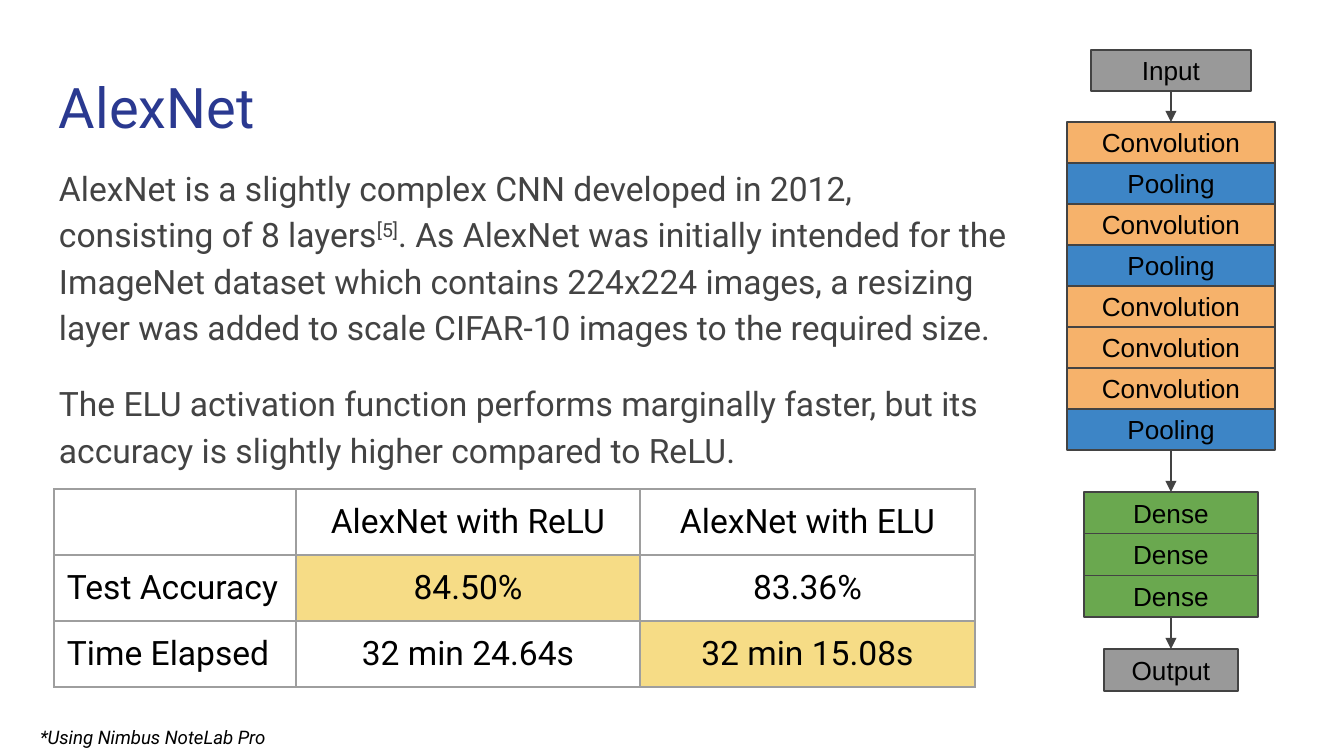
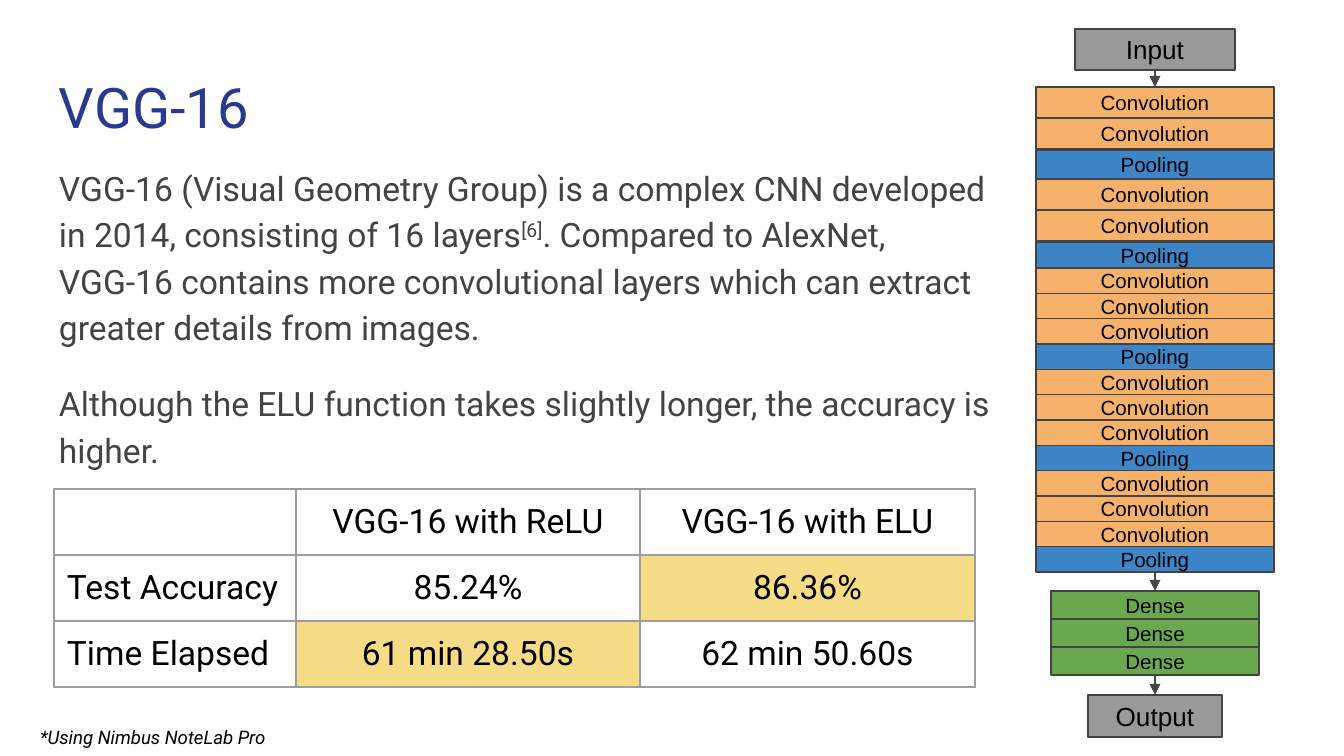
from pptx import Presentation
from pptx import util as u
from pptx.dml.color import RGBColor
from pptx.enum import shapes, text
from pptx.oxml.ns import qn
from lxml import etree

# ---- Shared look ----
SCALE = 914400 / 134.4  # EMU per px
COLOURS = {
    "title": "2A3990", "body": "434343", "text": "000000", "line": "434343",
    "grid": "9E9E9E", "cell": "FFFFFF", "best": "F6DC86",
    "Input": "999999", "Convolution": "F6B26B", "Pooling": "3D85C6",
    "Dense": "6AA84F", "Output": "999999",
}
HEADING_FONT, DIAGRAM_FONT = "Roboto", "Arial"
INSET = 13
COLUMNS, ROW = (242, 344, 335), 66
FOOTNOTE = "*Using Nimbus NoteLab Pro"

# ---- Content ----
CONV, POOL, DENSE = "Convolution", "Pooling", "Dense"
# Each stage: width, text size, runs of equal layers as (layers, top, bottom)
MODELS = [
    {
        "name": "AlexNet",
        "body_width": 981,
        "about": [
            ("AlexNet is a slightly complex CNN developed in 2012, consisting of 8 layers", "[5]",
             ". As AlexNet was initially intended for the ImageNet dataset which contains 224x224 "
             "images, a resizing layer was added to scale CIFAR-10 images to the required size."),
            ("The ELU activation function performs marginally faster, but its accuracy is "
             "slightly higher compared to ReLU.",),
        ],
        "accuracy": ("84.50%", "83.36%"),
        "time": ("32 min 24.64s", "32 min 15.08s"),
        "best": {(1, 1), (2, 2)},
        "centre": 1171,
        "stages": [
            (160, 14, [(["Input"], 50, 91)]),
            (208, 14, [([CONV, POOL] * 2 + [CONV] * 3 + [POOL], 122, 450)]),
            (174, 14, [([DENSE] * 3, 492, 617)]),
            (134, 14, [(["Output"], 649, 691)]),
        ],
    },
    {
        "name": "VGG-16",
        "body_width": 965,
        "about": [
            ("VGG-16 (Visual Geometry Group) is a complex CNN developed in 2014, consisting of "
             "16 layers", "[6]",
             ". Compared to AlexNet, VGG-16 contains more convolutional layers which can extract "
             "greater details from images."),
            ("Although the ELU function takes slightly longer, the accuracy is higher.",),
        ],
        "accuracy": ("85.24%", "86.36%"),
        "time": ("61 min 28.50s", "62 min 50.60s"),
        "best": {(1, 2), (2, 1)},
        "centre": 1155,
        "stages": [
            (160, 14, [(["Input"], 29, 70)]),
            (238, 11, [([CONV] * 2, 87, 149), ([POOL], 150, 179),
                       ([CONV] * 2, 179, 241), ([POOL], 242, 268),
                       (([CONV] * 3 + [POOL]) * 3, 268, 572)]),
            (208, 11, [([DENSE] * 3, 591, 675)]),
            (134, 14, [(["Output"], 695, 737)]),
        ],
    },
]


# ---- Helpers ----
def px(value):
    return u.Emu(round(value * SCALE))


def colour(key):
    return RGBColor.from_string(COLOURS[key])


def place(part, left, top, width, height):
    part.left, part.top, part.width, part.height = map(px, (left, top, width, height))


def style(paragraph, size, key="text", font=HEADING_FONT, align=text.PP_ALIGN.LEFT):
    paragraph.font.size = u.Pt(size)
    paragraph.font.name = font
    paragraph.font.color.rgb = colour(key)
    paragraph.alignment = align


def set_frame(frame, anchor=text.MSO_ANCHOR.TOP, fit=text.MSO_AUTO_SIZE.NONE):
    frame.word_wrap = True
    frame.auto_size = fit
    frame.vertical_anchor = anchor
    frame.margin_left = frame.margin_right = px(INSET)
    frame.margin_top = frame.margin_bottom = px(INSET)


# ---- Title and description ----
def add_description(slide, model):
    title, body = slide.shapes.title, slide.placeholders[1]
    place(title, 46, 60, 1253, 89)
    set_frame(title.text_frame)
    title.text_frame.text = model["name"]
    style(title.text_frame.paragraphs[0], 30, "title")

    place(body, 46, 149, model["body_width"], 329)
    frame = body.text_frame
    set_frame(frame)
    for i, pieces in enumerate(model["about"]):
        paragraph = frame.add_paragraph() if i else frame.paragraphs[0]
        style(paragraph, 18, "body")
        paragraph.line_spacing = 1.15
        paragraph.space_before = paragraph.space_after = u.Pt(16 if i else 0)
        properties = paragraph._p.get_or_add_pPr()
        properties.set("marL", "0")
        properties.set("indent", "0")
        properties.insert_element_before(
            properties.makeelement(qn("a:buNone")), "a:tabLst", "a:defRPr", "a:extLst")
        for j, piece in enumerate(pieces):
            run = paragraph.add_run()
            run.text = piece
            if j == 1:  # citation mark
                run._r.get_or_add_rPr().set("baseline", "30000")


# ---- Results table ----
def add_borders(cell):
    properties = cell._tc.get_or_add_tcPr()
    for side in ("a:lnL", "a:lnR", "a:lnT", "a:lnB"):
        edge = etree.SubElement(properties, qn(side), w=str(u.Pt(0.75)))
        fill = etree.SubElement(edge, qn("a:solidFill"))
        etree.SubElement(fill, qn("a:srgbClr"), val=COLOURS["grid"])


def add_results(slide, model):
    rows = [
        ("", f"{model['name']} with ReLU", f"{model['name']} with ELU"),
        ("Test Accuracy", *model["accuracy"]),
        ("Time Elapsed", *model["time"]),
    ]
    results = slide.shapes.add_table(
        len(rows), len(COLUMNS), px(54), px(489), px(sum(COLUMNS)), px(ROW * len(rows))).table
    results.first_row = results.horz_banding = False
    for column, width in zip(results.columns, COLUMNS):
        column.width = px(width)
    for r, row in enumerate(rows):
        results.rows[r].height = px(ROW)
        for c, value in enumerate(row):
            cell = results.cell(r, c)
            cell.margin_left = cell.margin_right = px(INSET)
            cell.margin_top = cell.margin_bottom = px(INSET)
            cell.text = value
            style(cell.text_frame.paragraphs[0], 18,
                  align=text.PP_ALIGN.CENTER if c else text.PP_ALIGN.LEFT)
            add_borders(cell)
            cell.fill.solid()
            cell.fill.fore_color.rgb = colour("best" if (r, c) in model["best"] else "cell")


# ---- Network diagram ----
def add_layer(slide, name, size, left, top, width, height):
    layer = slide.shapes.add_shape(
        shapes.MSO_SHAPE.RECTANGLE, *map(px, (left, top, width, height)))
    layer.shadow.inherit = False
    layer.fill.solid()
    layer.fill.fore_color.rgb = colour(name)
    layer.line.color.rgb = colour("line")
    layer.line.width = u.Pt(0.75)
    set_frame(layer.text_frame, text.MSO_ANCHOR.MIDDLE)
    layer.text_frame.text = name
    style(layer.text_frame.paragraphs[0], size, font=DIAGRAM_FONT, align=text.PP_ALIGN.CENTER)
    return layer


def add_arrow(slide, upper, lower):
    arrow = slide.shapes.add_connector(shapes.MSO_CONNECTOR.STRAIGHT, 0, 0, 0, 0)
    arrow.begin_connect(upper, 2)
    arrow.end_connect(lower, 0)
    arrow.line.color.rgb = colour("line")
    arrow.line.width = u.Pt(0.75)
    etree.SubElement(arrow.line._get_or_add_ln(), qn("a:tailEnd"), type="triangle")
    etree.SubElement(arrow._element.spPr, qn("a:effectLst"))


def add_network(slide, model):
    previous = None
    for width, size, runs in model["stages"]:
        stage = []
        for layers, top, bottom in runs:
            step = (bottom - top) / len(layers)
            stage += [add_layer(slide, name, size, model["centre"] - width // 2,
                                top + i * step, width, step)
                      for i, name in enumerate(layers)]
        if previous:
            add_arrow(slide, previous, stage[0])
        previous = stage[-1]


# ---- Footnote ----
def add_footnote(slide):
    footnote = slide.shapes.add_textbox(*map(px, (27, 715, 620, 50)))
    set_frame(footnote.text_frame, fit=text.MSO_AUTO_SIZE.SHAPE_TO_FIT_TEXT)
    footnote.text_frame.text = FOOTNOTE
    paragraph = footnote.text_frame.paragraphs[0]
    style(paragraph, 10)
    paragraph.font.italic = True


def main():
    deck = Presentation()
    deck.slide_width, deck.slide_height = px(1344), px(756)
    for model in MODELS:
        slide = deck.slides.add_slide(deck.slide_layouts[1])
        add_description(slide, model)
        add_results(slide, model)
        add_network(slide, model)
        add_footnote(slide)
    deck.save("out.pptx")


if __name__ == "__main__":
    main()
